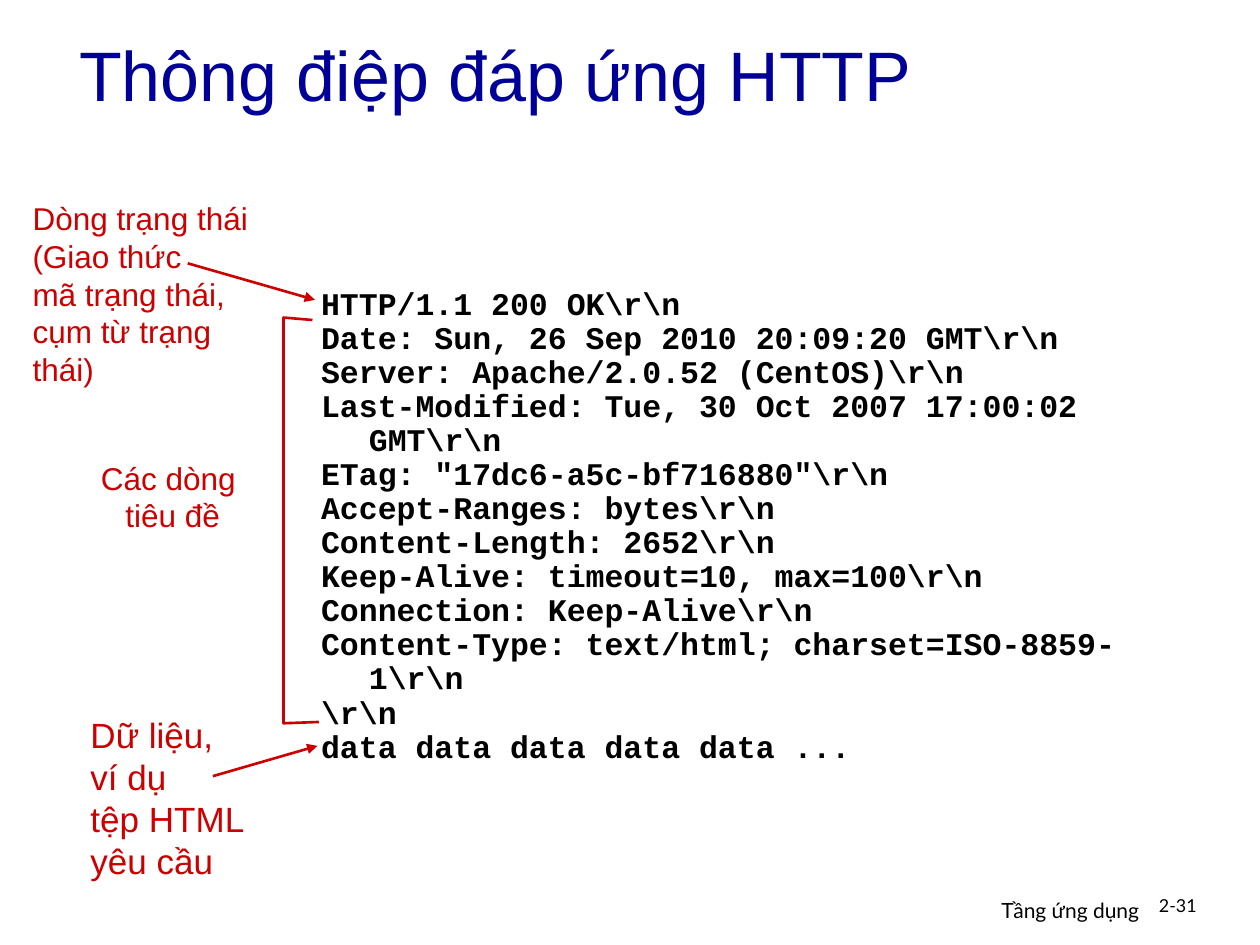
from pptx import Presentation
from pptx.dml.color import RGBColor
from pptx.enum.shapes import MSO_CONNECTOR
from pptx.enum.text import MSO_ANCHOR, MSO_AUTO_SIZE, PP_ALIGN
from pptx.oxml.ns import qn
from pptx.util import Inches, Pt
from lxml.etree import SubElement

COLORS = {"title": "000099", "note": "CC0000", "text": "000000"}

REPLY = [
    r"HTTP/1.1 200 OK\r\n",
    r"Date: Sun, 26 Sep 2010 20:09:20 GMT\r\n",
    r"Server: Apache/2.0.52 (CentOS)\r\n",
    r"Last-Modified: Tue, 30 Oct 2007 17:00:02 GMT\r\n",
    r'ETag: "17dc6-a5c-bf716880"\r\n',
    r"Accept-Ranges: bytes\r\n",
    r"Content-Length: 2652\r\n",
    r"Keep-Alive: timeout=10, max=100\r\n",
    r"Connection: Keep-Alive\r\n",
    r"Content-Type: text/html; charset=ISO-8859-1\r\n",
    r"\r\n",
    "data data data data data ...",
]


def color(name):
    return RGBColor.from_string(COLORS[name])


def add_text(slide, box, lines, size, tint="text", face="Arial", bold=False,
             align=PP_ALIGN.LEFT, anchor=MSO_ANCHOR.TOP, wrap=True,
             grow=False, space=None, hang=0):
    frame = slide.shapes.add_textbox(*map(Inches, box)).text_frame
    frame.word_wrap = wrap
    frame.vertical_anchor = anchor
    if grow:
        frame.auto_size = MSO_AUTO_SIZE.SHAPE_TO_FIT_TEXT
    for i, line in enumerate(lines):
        para = frame.add_paragraph() if i else frame.paragraphs[0]
        para.alignment = align
        if space:
            para.line_spacing = space
        if hang:
            props = para._p.get_or_add_pPr()
            props.set("marL", str(Inches(hang)))
            props.set("indent", str(-Inches(hang)))
        run = para.add_run()
        run.text = line
        font = run.font
        font.size, font.name, font.bold = Pt(size), face, bold
        font.color.rgb = color(tint)


def style_line(shape):
    shape.line.color.rgb = color("note")
    shape.line.width = Pt(1.5)


def add_arrow(slide, start, end):
    arrow = slide.shapes.add_connector(
        MSO_CONNECTOR.STRAIGHT, *map(Inches, start + end))
    style_line(arrow)
    SubElement(arrow.line._get_or_add_ln(), qn("a:tailEnd"), type="triangle")
    SubElement(arrow._element.spPr, qn("a:effectLst"))


def add_brace(slide, box):
    left, top, width, height = box
    # The arms lean slightly and the upper one is a little shorter
    points = [(left + width - 0.05, top + 0.02), (left, top),
              (left, top + height), (left + width, top + height - 0.01)]
    points = [(Inches(x), Inches(y)) for x, y in points]
    path = slide.shapes.build_freeform(*points[0], scale=1.0)
    path.add_line_segments(points[1:], close=False)
    brace = path.convert_to_shape()
    brace.shadow.inherit = False
    brace.fill.background()
    style_line(brace)


def add_note(slide, box, lines, size=18, align=PP_ALIGN.LEFT, arrow=None):
    """Red label; its arrow is given as offsets from the label's corner."""
    add_text(slide, box, lines, size, "note", align=align,
             wrap=False, grow=True)
    if arrow:
        start, end = [(box[0] + x, box[1] + y) for x, y in arrow]
        add_arrow(slide, start, end)


def add_footer(slide, box):
    left, top, width, height = box
    split = 3.17
    add_text(slide, (left, top, split, height), ["Tầng ứng dụng"], 12,
             face="Lato", align=PP_ALIGN.RIGHT)
    add_text(slide, (left + split - 0.04, top, width - split + 0.04, height),
             ["2-31"], 10.2, face="Lato", space=0.9)


def main():
    deck = Presentation()
    deck.slide_width, deck.slide_height = Inches(10), Inches(7.5)
    slide = deck.slides.add_slide(deck.slide_layouts[6])

    add_footer(slide, (5.97, 7.07, 3.87, 0.31))
    add_text(slide, (0.53, 0.05, 8.5, 1.07), ["Thông điệp đáp ứng HTTP"], 40,
             "title", anchor=MSO_ANCHOR.MIDDLE)

    # Labels for the parts of the message
    add_note(slide, (0.16, 1.53, 1.91, 1.6),
             ["Dòng trạng thái", "(Giao thức", "mã trạng thái,",
              "cụm từ trạng", "thái)"],
             arrow=[(1.33, 0.56), (2.34, 0.85)])
    add_brace(slide, (2.25, 2.52, 0.28, 3.22))
    add_note(slide, (0.7, 3.59, 1.34, 0.7), ["Các dòng ", "tiêu đề"],
             align=PP_ALIGN.CENTER)
    add_note(slide, (0.62, 5.61, 1.5, 1.44),
             ["Dữ liệu,", "ví dụ", "tệp HTML", "yêu cầu"], 20,
             arrow=[(1.07, 0.55), (1.9, 0.31)])

    # The message itself
    add_text(slide, (2.45, 2.24, 6.9, 3.88), REPLY, 18, face="Courier New",
             bold=True, grow=True, space=0.9, hang=0.38)

    deck.save("out.pptx")


if __name__ == "__main__":
    main()
